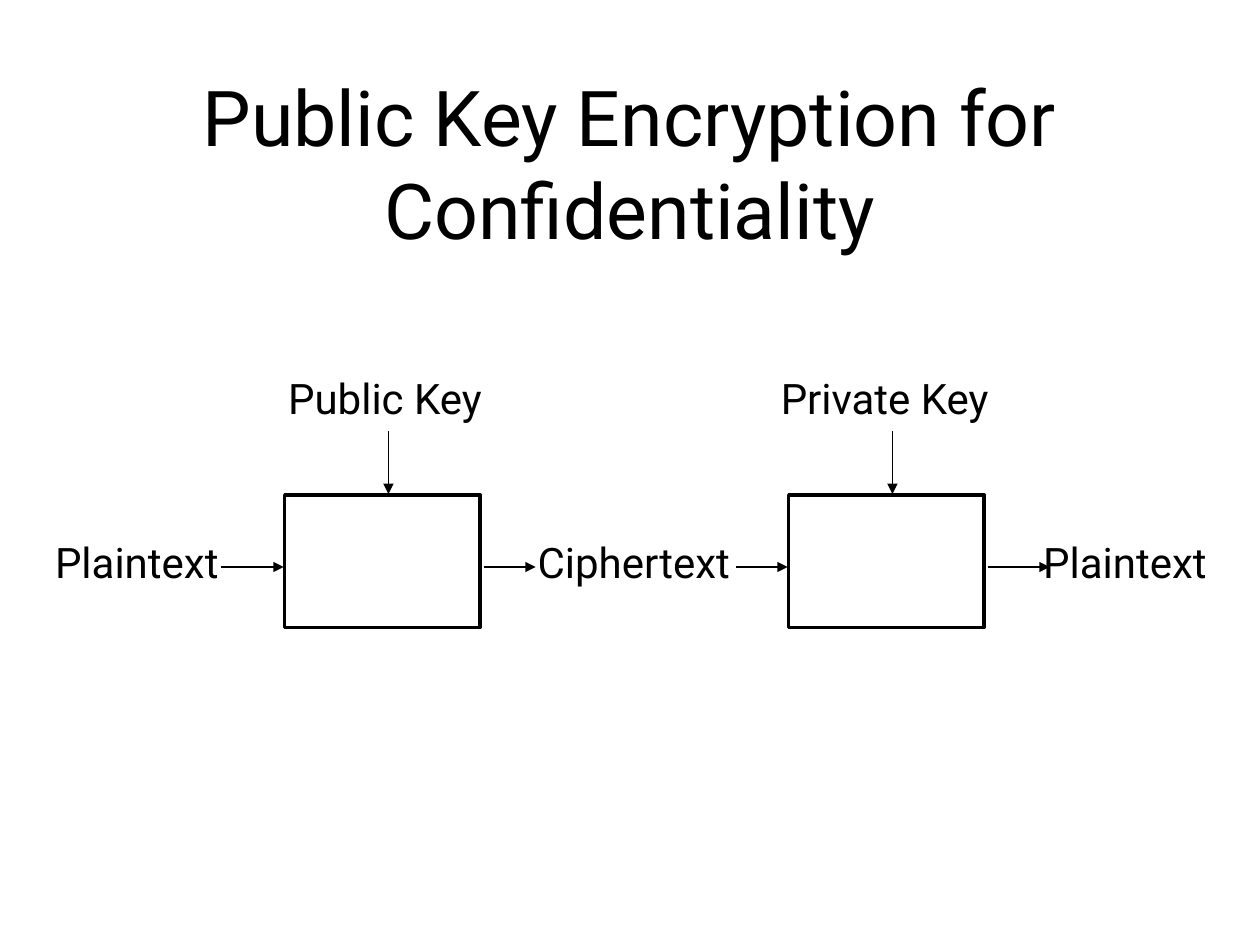
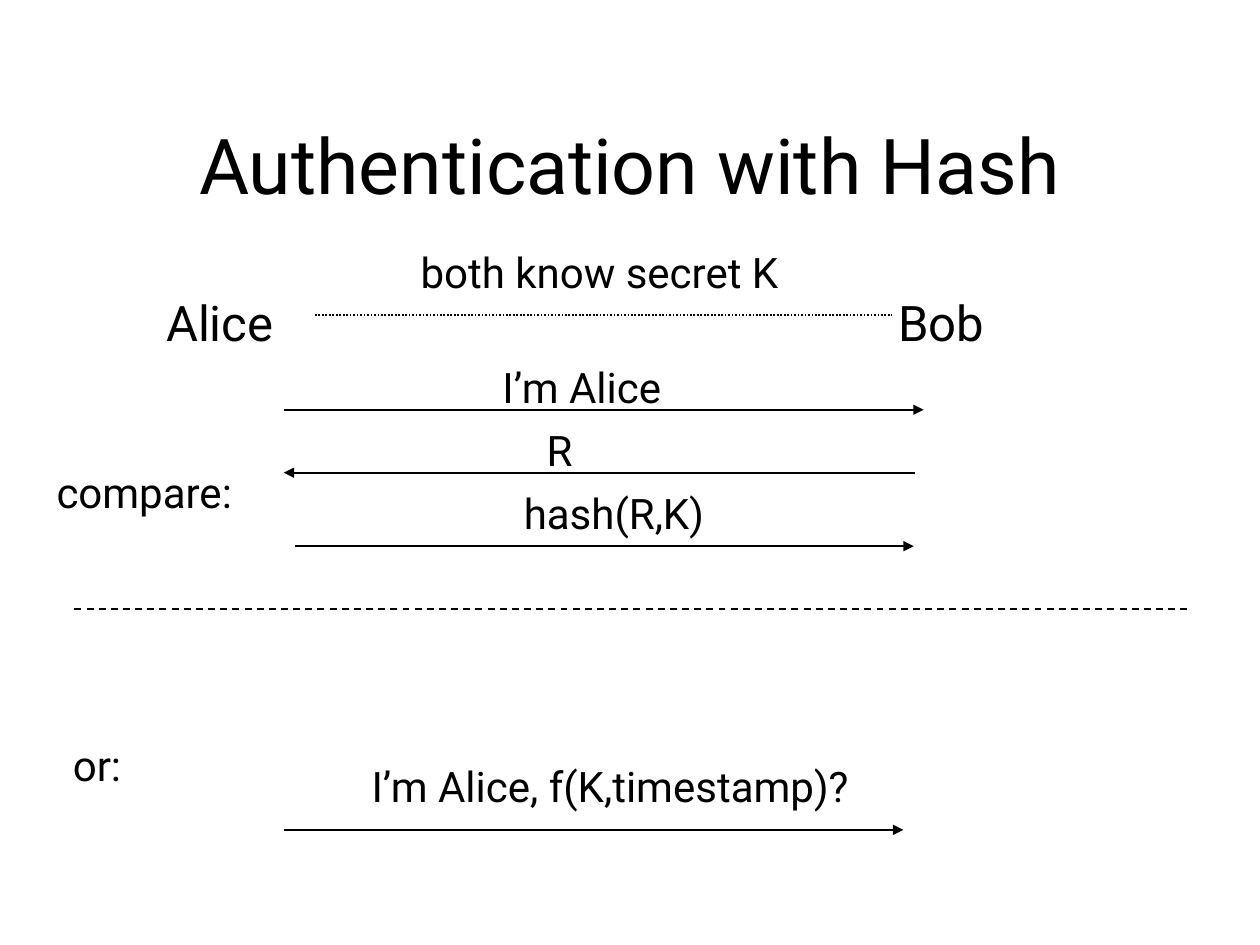
from pptx import Presentation
from pptx.dml.color import RGBColor
from pptx.enum.dml import MSO_LINE
from pptx.enum.shapes import MSO_CONNECTOR, MSO_SHAPE
from pptx.enum.text import MSO_ANCHOR, MSO_AUTO_SIZE, PP_ALIGN
from pptx.oxml.ns import qn
from pptx.util import Cm, Pt
from lxml import etree

BLACK = RGBColor(0x00, 0x00, 0x00)
WHITE = RGBColor(0xFF, 0xFF, 0xFF)
FONT = "Roboto"
TITLE_SIZE, NAME_SIZE, LABEL_SIZE = 44, 28, 24
LINE_SPACING = 1.01
STRAIGHT = MSO_CONNECTOR.STRAIGHT
ROUNDED = MSO_SHAPE.ROUNDED_RECTANGLE
CENTER, LEFT = PP_ALIGN.CENTER, PP_ALIGN.LEFT
MIDDLE = MSO_ANCHOR.MIDDLE
FIXED, GROW = MSO_AUTO_SIZE.NONE, MSO_AUTO_SIZE.SHAPE_TO_FIT_TEXT
DASH, DOTS = MSO_LINE.DASH, MSO_LINE.ROUND_DOT


class SlideBuilder:
    """Shared style plus the slide being drawn; all lengths are in cm."""

    def __init__(self):
        self.deck = Presentation()
        self.deck.slide_width, self.deck.slide_height = Cm(25.4), Cm(19.05)
        self.slide = None

    def new_slide(self, title, top, height):
        self.slide = self.deck.slides.add_slide(self.deck.slide_layouts[5])
        box = self.slide.shapes.title
        box.left, box.top, box.width, box.height = Cm(1.9), Cm(top), Cm(21.6), Cm(height)
        frame = box.text_frame
        frame.vertical_anchor, frame.auto_size = MIDDLE, FIXED
        self.set_text(frame, title, TITLE_SIZE, CENTER)

    def set_text(self, frame, text, size, alignment):
        frame.text = text
        para = frame.paragraphs[0]
        para.alignment, para.line_spacing = alignment, LINE_SPACING
        span = para.runs[0]
        span.font.name, span.font.size = FONT, Pt(size)
        span.font.color.rgb = BLACK

    def label(self, text, left, top, width, size=LABEL_SIZE):
        height = 1.3 if size == LABEL_SIZE else 1.45
        box = self.slide.shapes.add_textbox(Cm(left), Cm(top), Cm(width), Cm(height))
        frame = box.text_frame
        frame.word_wrap, frame.auto_size = False, GROW
        self.set_text(frame, text, size, LEFT)

    def cipher_box(self, left, top, width, height):
        box = self.slide.shapes.add_shape(ROUNDED, Cm(left), Cm(top), Cm(width), Cm(height))
        box.adjustments[0] = 0
        box.shadow.inherit = False
        box.fill.solid()
        box.fill.fore_color.rgb = WHITE
        box.line.color.rgb, box.line.width = BLACK, Pt(2)

    def line(self, x1, y1, x2, y2, dash=None):
        line = self.slide.shapes.add_connector(STRAIGHT, Cm(x1), Cm(y1), Cm(x2), Cm(y2))
        line.line.color.rgb, line.line.width = BLACK, Pt(1)
        if dash is not None:
            line.line.dash_style = dash
        etree.SubElement(line._element.spPr, qn("a:effectLst"))
        return line

    def arrow(self, x1, y1, x2, y2):
        outline = self.line(x1, y1, x2, y2)._element.spPr.find(qn("a:ln"))
        etree.SubElement(outline, qn("a:tailEnd"), type="triangle")


def draw_encryption(page):
    page.new_slide("Public Key Encryption for Confidentiality", 1.22, 4.09)

    # Encryption and decryption boxes, each with its key above
    box_left, box_top, box_pitch = 5.74, 9.98, 10.16
    keys = [("Public Key", 5.56, 4.57), ("Private Key", 15.49, 4.93)]
    for index, (key, key_left, key_width) in enumerate(keys):
        shift = index * box_pitch
        page.cipher_box(box_left + shift, box_top, 3.94, 2.67)
        page.label(key, key_left, 7.37, key_width)
        page.arrow(7.83 + shift, 8.69, 7.83 + shift, 9.96)

    # Message flow from left to right
    for text, left, width in [("Plaintext", 0.86, 3.99), ("Ciphertext", 10.59, 4.67),
                              ("Plaintext", 20.78, 3.99)]:
        page.label(text, left, 10.69, width)
    for start, end in [(4.45, 5.72), (9.75, 10.8), (14.83, 15.88), (19.91, 21.16)]:
        page.arrow(start, 11.43, end, 11.43)


def draw_authentication(page):
    page.new_slide("Authentication with Hash", 1.7, 3.18)

    # The two parties and their shared secret
    page.label("Alice", 3.1, 5.77, 2.69, NAME_SIZE)
    page.label("Bob", 17.86, 5.77, 2.36, NAME_SIZE)
    page.label("both know secret K", 8.23, 4.83, 8.13)
    page.line(6.35, 6.35, 17.98, 6.35, DOTS)

    # Messages: text, left, top, width, arrow start, arrow end, arrow height
    messages = [
        ("I’m Alice", 9.88, 7.16, 3.84, 5.72, 18.62, 8.26),
        ("R", 10.77, 8.43, 1.04, 18.44, 5.72, 9.53),
        ("hash(R,K)", 10.31, 9.7, 4.22, 5.94, 18.42, 11.01),
        ("I’m Alice, f(K,timestamp)?", 7.24, 15.19, 10.49, 5.72, 18.21, 16.73),
    ]
    for text, left, top, width, start, end, height in messages:
        page.arrow(start, height, end, height)
        page.label(text, left, top, width)

    # The two variants and the divider between them
    page.label("compare:", 0.89, 9.27, 4.27)
    page.line(1.5, 12.28, 23.93, 12.28, DASH)
    page.label("or:", 1.22, 14.78, 1.6)


def main():
    page = SlideBuilder()
    draw_encryption(page)
    draw_authentication(page)
    page.deck.save("out.pptx")


if __name__ == "__main__":
    main()
